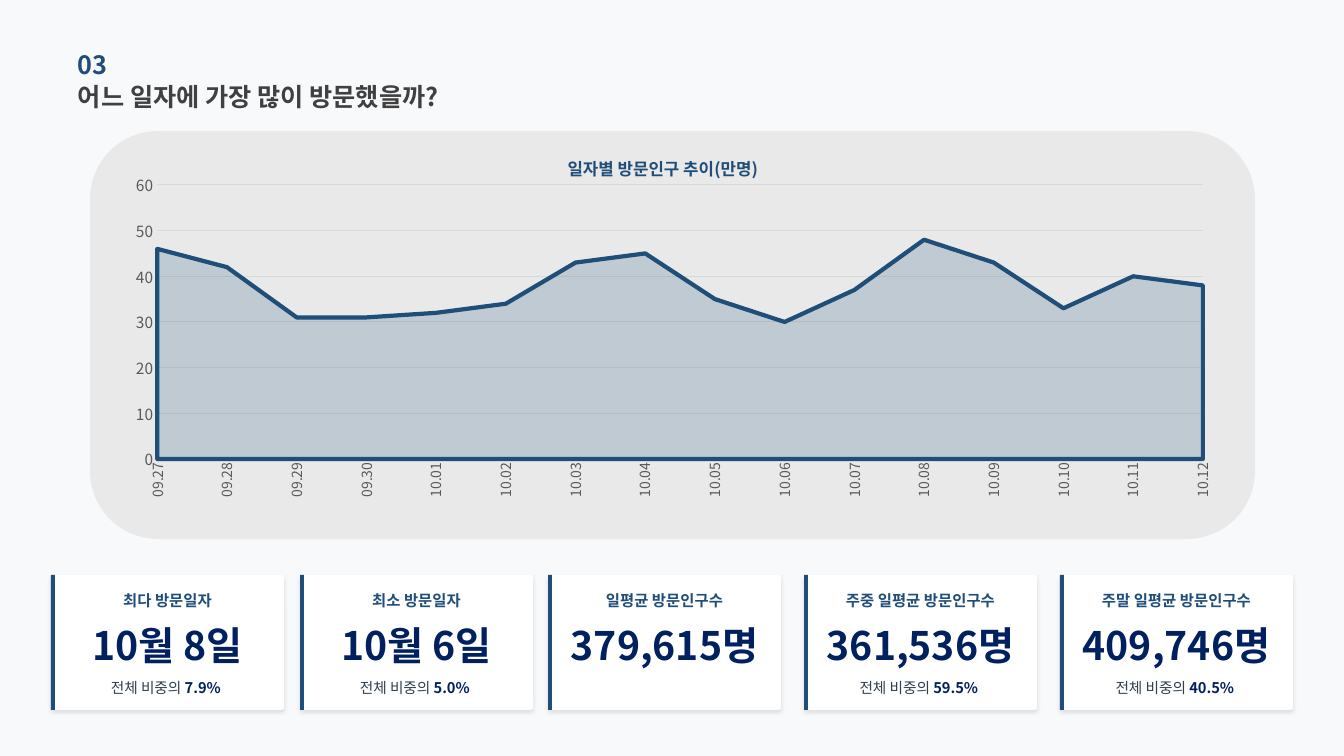
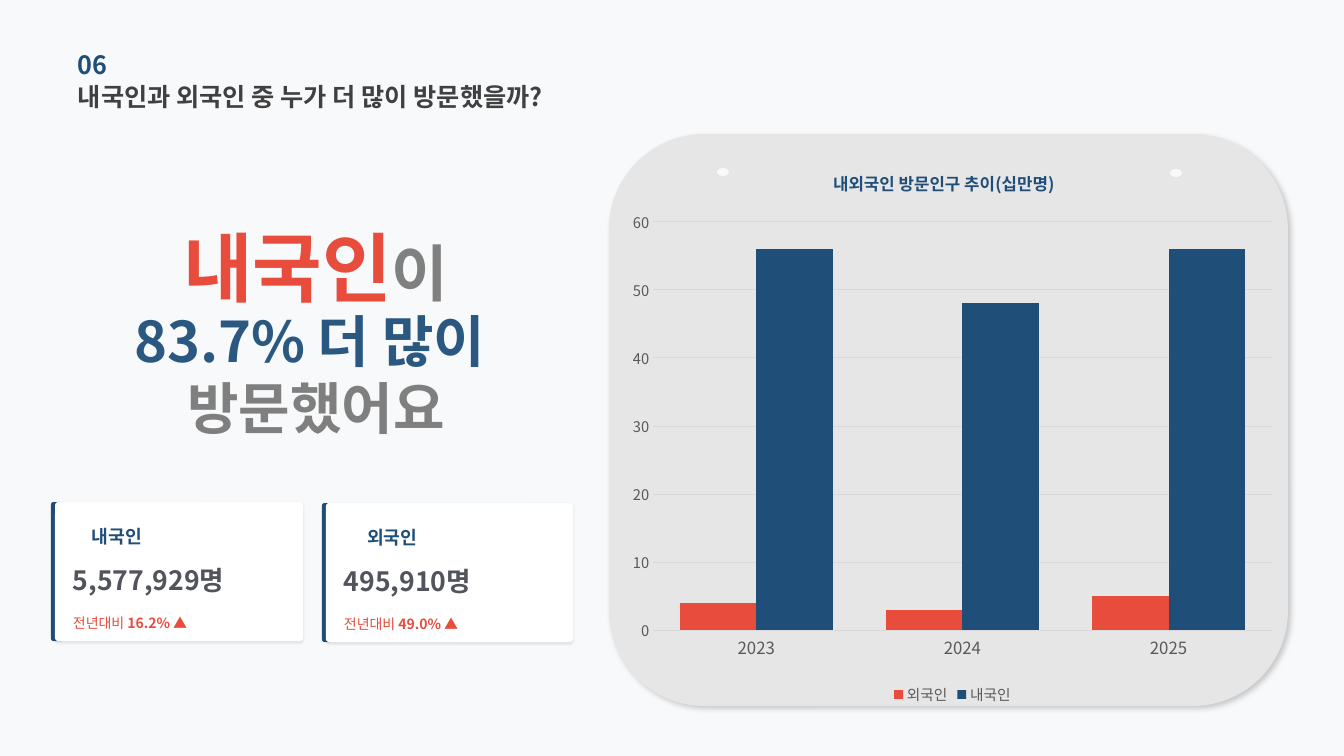
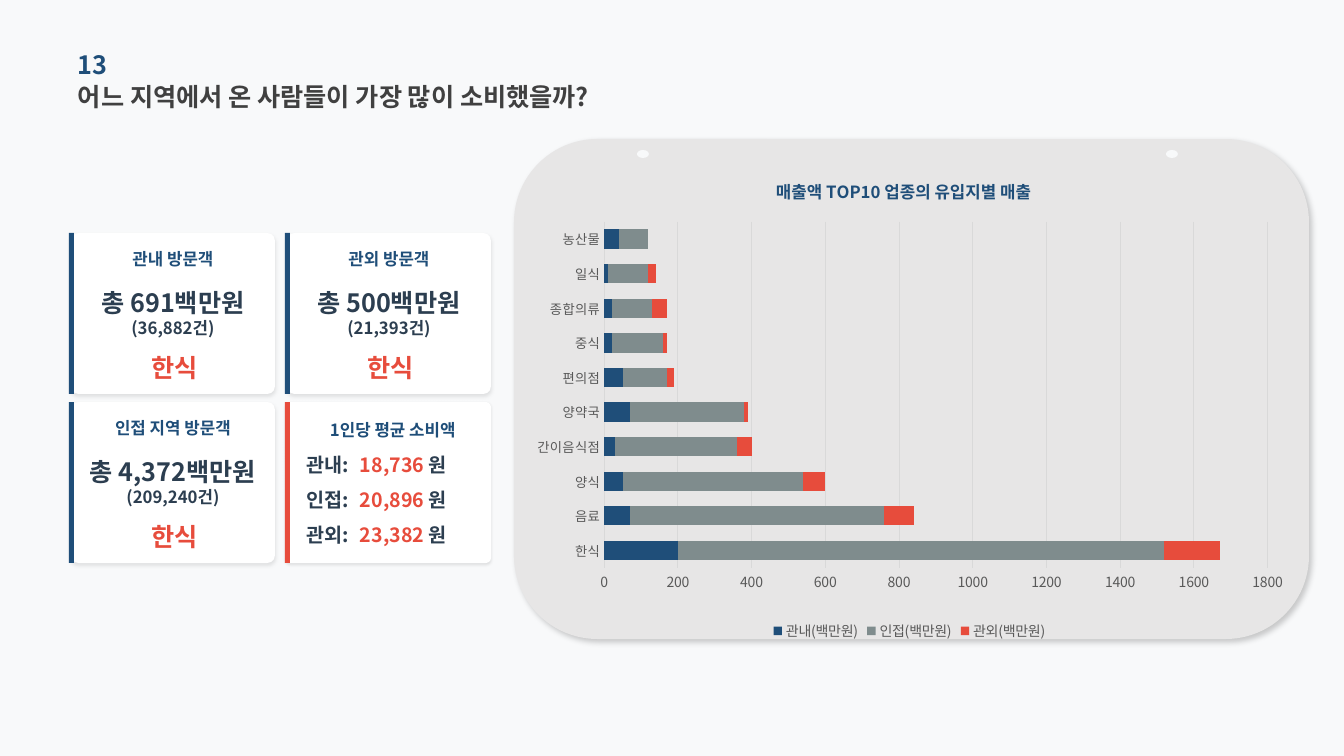
from lxml import etree
from pptx import Presentation
from pptx.chart.data import CategoryChartData
from pptx.dml.color import RGBColor
from pptx.enum.chart import XL_CHART_TYPE, XL_LEGEND_POSITION, XL_TICK_MARK
from pptx.enum.shapes import MSO_SHAPE
from pptx.enum.text import MSO_ANCHOR, MSO_AUTO_SIZE, PP_ALIGN
from pptx.oxml.ns import qn
from pptx.util import Pt

PX = 914400 / 100.8
FONT = "Noto Sans CJK KR"
NAVY, DEEP, RED, INK = "1F4E79", "002060", "E74C3C", "2C3E50"
PAPER, WHITE, PANEL, GRID, AXIS = "F8F9FA", "FFFFFF", "E7E6E6", "D9D9D9", "595959"
LEFT, CENTER = PP_ALIGN.LEFT, PP_ALIGN.CENTER
MIDDLE, NO_FIT = MSO_ANCHOR.MIDDLE, MSO_AUTO_SIZE.NONE
RECT, ROUND, OVAL = MSO_SHAPE.RECTANGLE, MSO_SHAPE.ROUNDED_RECTANGLE, MSO_SHAPE.OVAL
AREA, COLUMN, STACKED = XL_CHART_TYPE.AREA, XL_CHART_TYPE.COLUMN_CLUSTERED, XL_CHART_TYPE.BAR_STACKED
BOTTOM, NO_TICK = XL_LEGEND_POSITION.BOTTOM, XL_TICK_MARK.NONE

# Shadows: opacity %, blur pt, distance pt, direction degrees
PANEL_SHADOW, CARD_SHADOW, SOFT_SHADOW = (20, 4, 3, 45), (10, 3, 2, 90), (10, 2, 1, 90)


# Basics
def px(*lengths):
    return [round(length * PX) for length in lengths]


def rgb(color):
    return RGBColor.from_string(color)


def add_xml(parent, tag, **attributes):
    return etree.SubElement(parent, qn(tag), {k: str(v) for k, v in attributes.items()})


def paint(fill, color, opacity=100):
    fill.solid()
    fill.fore_color.rgb = rgb(color)
    if opacity < 100:
        add_xml(fill._xPr.find(qn("a:solidFill"))[0], "a:alpha", val=opacity * 1000)


def style_font(font, size, color, bold=False):
    font.size, font.bold, font.name = Pt(size), bold, FONT
    font.color.rgb = rgb(color)
    font.name = FONT
    add_xml(font._rPr, "a:ea", typeface=FONT)


def add_shape(slide, kind, box, color, radius=None, opacity=100, shadow=None):
    shape = slide.shapes.add_shape(kind, *px(*box))
    paint(shape.fill, color, opacity)
    shape.line.fill.background()
    shape.shadow.inherit = False
    if radius is not None:
        shape.adjustments[0] = radius
    if shadow:
        strength, blur, distance, angle = shadow
        effects = shape._element.spPr.find(qn("a:effectLst"))
        outer = add_xml(effects, "a:outerShdw", blurRad=Pt(blur), dist=Pt(distance),
                        dir=angle * 60000, algn="ctr", rotWithShape=0)
        add_xml(add_xml(outer, "a:srgbClr", val="000000"), "a:alpha", val=strength * 1000)
    return shape


def write(holder, paragraphs, align=LEFT, **base):
    """Each paragraph is a string or a list of (text, format changes)."""
    frame = holder.text_frame
    frame.word_wrap, frame.auto_size, frame.vertical_anchor = True, NO_FIT, MIDDLE
    frame.margin_left = frame.margin_right = frame.margin_top = frame.margin_bottom = 0
    for i, runs in enumerate(paragraphs):
        paragraph = frame.add_paragraph() if i else frame.paragraphs[0]
        paragraph.alignment = align
        for words, changes in [(runs, {})] if isinstance(runs, str) else runs:
            run = paragraph.add_run()
            run.text = words
            style_font(run.font, **{**base, **changes})


def add_text(slide, box, *paragraphs, **style):
    write(slide.shapes.add_textbox(*px(*box)), paragraphs, **style)


# Parts shared by the slides
def new_slide(prs, number, question):
    slide = prs.slides.add_slide(prs.slide_layouts[5])
    title = slide.shapes.title
    title.left, title.top, title.width, title.height = px(78, 76, 560, 41)
    write(title, [question], size=18, color="404040", bold=True)
    add_text(slide, (78, 44, 456, 41), number, size=18, color=NAVY, bold=True)
    return slide


def pinned_panel(slide, box, pins):
    add_shape(slide, ROUND, box, PANEL, shadow=PANEL_SHADOW)
    x, y = box[:2]
    for dx, dy in pins:
        add_shape(slide, OVAL, (x + dx, y + dy, 12, 8), PAPER)


# Charts
def set_layout(parent, index, inner=False, **fractions):
    for old in parent.findall(qn("c:layout")):
        parent.remove(old)
    layout = etree.Element(qn("c:layout"))
    parent.insert(index, layout)
    manual = add_xml(layout, "c:manualLayout")
    if inner:
        add_xml(manual, "c:layoutTarget", val="inner")
    for side in "xy":
        add_xml(manual, f"c:{side}Mode", val="edge")
    for side, value in fractions.items():
        add_xml(manual, f"c:{side}", val=value)


def no_fill():
    properties = etree.Element(qn("c:spPr"))
    add_xml(properties, "a:noFill")
    add_xml(add_xml(properties, "a:ln"), "a:noFill")
    return properties


def add_chart(slide, kind, box, title, title_left, categories, series, plot,
              top, step, category_size, value_size):
    """series holds (name, values, colour); plot holds fractions of the box."""
    x, y, width, height = box
    data = CategoryChartData()
    data.categories = categories
    for name, values, _ in series:
        data.add_series(name, values)
    chart = slide.shapes.add_chart(kind, *px(*box), data).chart
    style_font(chart.font, 10, "000000")
    chart._chartSpace.find(qn("c:txPr")).addprevious(no_fill())

    # Title and plot area
    chart.has_title = True
    heading = chart.chart_title
    run = heading.text_frame.paragraphs[0].add_run()
    run.text = title
    style_font(run.font, 12, NAVY, True)
    set_layout(heading._element, 1, x=round((title_left - x) / width, 3),
               y=round(16 / height, 3))
    plot_area = chart._chartSpace.chart.plotArea
    set_layout(plot_area, 0, inner=True, **dict(zip("xywh", plot)))
    plot_area.append(no_fill())

    # Axes
    category_axis, value_axis = chart.category_axis, chart.value_axis
    for axis, size in ((category_axis, category_size), (value_axis, value_size)):
        axis.major_tick_mark = axis.minor_tick_mark = NO_TICK
        style_font(axis.tick_labels.font, size, AXIS)
    category_axis.has_major_gridlines = False
    value_axis.minimum_scale, value_axis.maximum_scale, value_axis.major_unit = 0, top, step
    value_axis.has_major_gridlines = True
    for line in (category_axis.format.line, value_axis.major_gridlines.format.line):
        paint(line.fill, GRID)
        line.width = Pt(0.75)
    value_axis.format.line.fill.background()

    # Series and legend
    chart.plots[0].vary_by_categories = False
    for drawn, (_, _, color) in zip(chart.plots[0].series, series):
        paint(drawn.format.fill, color)
    chart.has_legend = len(series) > 1
    if chart.has_legend:
        chart.legend.position = BOTTOM
        chart.legend.include_in_layout = False
        style_font(chart.legend.font, value_size, AXIS)
    return chart


# Slide 1: visitors by day
def day_chart(slide, box):
    x, y, _, _ = box
    add_shape(slide, ROUND, box, "D0CECE", opacity=36)
    days = [f"09.{d}" for d in range(27, 31)] + [f"10.{d:02}" for d in range(1, 13)]
    visitors = [46, 42, 31, 31, 32, 34, 43, 45, 35, 30, 37, 48, 43, 33, 40, 38]
    chart = add_chart(slide, AREA, (x + 19, y + 3, 1122, 411), "일자별 방문인구 추이(만명)", 564,
                      days, [("Series 1", visitors, NAVY)], (0.043, 0.124, 0.932, 0.667),
                      60, 10, 10, 11)
    trend = chart.plots[0].series[0].format
    paint(trend.fill, NAVY, 20)
    paint(trend.line.fill, NAVY)
    trend.line.width = Pt(3)
    label_body = chart.category_axis._element.find(qn("c:txPr")).find(qn("a:bodyPr"))
    label_body.set("rot", "-5400000")
    label_body.set("vert", "horz")


def day_card(slide, box, label, figure, share):
    x, y, width, height = box
    add_shape(slide, ROUND, box, WHITE, 0.018, shadow=CARD_SHADOW)
    add_shape(slide, RECT, (x, y, 4, height), NAVY)
    add_text(slide, (x + 10, y + 14, width - 20, 22), label,
             align=CENTER, size=11, color=NAVY, bold=True)
    add_text(slide, (x, y + 51, width, 38), figure,
             align=CENTER, size=28, color=DEEP, bold=True)
    if share:
        add_text(slide, (x + 50, y + 102, width - 100, 21),
                 [("전체 비중의 ", {}), (share + " ", {"color": DEEP, "bold": True})],
                 align=CENTER, size=10.5, color=INK)


def day_slide(prs):
    slide = new_slide(prs, "03", "어느 일자에 가장 많이 방문했을까?")
    day_chart(slide, (90, 131, 1165, 408))
    for left, *content in (
        (51, "최다 방문일자", "10월 8일", "7.9%"),
        (300, "최소 방문일자", "10월 6일", "5.0%"),
        (548, "일평균 방문인구수", "379,615명", None),
        (804, "주중 일평균 방문인구수", "361,536명", "59.5%"),
        (1060, "주말 일평균 방문인구수", "409,746명", "40.5%"),
    ):
        day_card(slide, (left, 575, 233, 135), *content)


# Slide 2: domestic and foreign visitors
def origin_headline(slide, x, y):
    add_text(slide, (x + 62, y, 432, 48),
             [("내국인", {}), ("이", {"size": 44, "color": "808080"})],
             align=CENTER, size=54, color=RED, bold=True)
    add_text(slide, (x, y + 89, 556, 85), "83.7% 더 많이 ",
             [("방문했어요", {"color": "7F7F7F"})],
             align=CENTER, size=40, color="2B5880", bold=True)


def origin_card(slide, box, indent, label, count, growth):
    x, y, width, height = box
    add_shape(slide, ROUND, (x - 4, y, 15, height), NAVY)
    add_shape(slide, ROUND, box, WHITE, 0.023, shadow=SOFT_SHADOW)
    add_text(slide, (x + indent, y + 20, 66, 28), label, size=13, color=NAVY, bold=True)
    add_text(slide, (x + 18, y + 58, width - 18, 39), count, size=19, color="51545A", bold=True)
    add_text(slide, (x + 18, y + 98, width - 18, 45),
             [("전년대비 ", {}), (growth + " ▲", {"bold": True})], size=10, color=RED)


def origin_slide(prs):
    slide = new_slide(prs, "06", "내국인과 외국인 중 누가 더 많이 방문했을까?")
    pinned_panel(slide, (609, 134, 679, 572), [(108, 34), (561, 35)])
    origin_headline(slide, 38, 242)
    origin_card(slide, (55, 502, 248, 139), 37, "내국인", "5,577,929명", "16.2%")
    origin_card(slide, (326, 503, 247, 139), 41, "외국인", "495,910명", "49.0%")
    chart = add_chart(slide, COLUMN, (620, 149, 665, 560), "내외국인 방문인구 추이(십만명)", 830,
                      ["2023", "2024", "2025"],
                      [("외국인", [4, 3, 5], RED), ("내국인", [56, 48, 56], NAVY)],
                      (0.05, 0.13, 0.93, 0.73), 60, 10, 12, 10.5)
    chart.plots[0].gap_width = 70


# Slide 3: spending by origin
def spending_card(slide, box, label, amount, deals):
    x, y, width, height = box
    add_shape(slide, ROUND, box, WHITE, 0.048, shadow=CARD_SHADOW)
    add_shape(slide, RECT, (x - 2, y, 5, height), NAVY)
    bold = {"align": CENTER, "bold": True}
    add_text(slide, (x, y + 10, width, 31), label, size=12, color=NAVY, **bold)
    add_text(slide, (x, y + 56, width, 47), f"총 {amount}백만원", [(f"({deals}건)", {"size": 12})],
             size=18, color=INK, **bold)
    add_text(slide, (x + 2, y + 111, width, 47), "한식", size=18, color=RED, **bold)


def average_card(slide, box):
    x, y, width, height = box
    add_shape(slide, ROUND, box, WHITE, 0.032, shadow=SOFT_SHADOW)
    add_shape(slide, RECT, (x, y, 5, height), RED)
    add_text(slide, (x + 45, y + 15, 150, 25), "1인당 평균 소비액", size=12, color=NAVY, bold=True)
    averages = (("관내", "18,736"), ("인접", "20,896"), ("관외", "23,382"))
    for row, (origin, average) in enumerate(averages):
        row_top = y + 48 + 35 * row
        add_text(slide, (x + 21, row_top, 59, 30), origin + ":", size=14, color=INK, bold=True)
        add_text(slide, (x + 75, row_top, 130, 30),
                 [(average + " ", {"color": RED}), ("원", {})], size=14, color=INK, bold=True)


def spending_slide(prs):
    slide = new_slide(prs, "13", "어느 지역에서 온 사람들이 가장 많이 소비했을까?")
    pinned_panel(slide, (514, 139, 795, 500), [(123, 11), (652, 11)])
    cards = (("관내 방문객", "691", "36,882"), ("관외 방문객", "500", "21,393"),
             ("인접 지역 방문객", "4,372", "209,240"))
    for i, content in enumerate(cards):
        row, column = divmod(i, 2)
        spending_card(slide, (71 + 216 * column, 233 + 169 * row, 204, 161), *content)
    average_card(slide, (285, 402, 206, 161))
    chart = add_chart(
        slide, STACKED, (526, 157, 767, 488), "매출액 TOP10 업종의 유입지별 매출", 773,
        ["한식", "음료", "양식", "간이음식점", "양약국", "편의점", "중식", "종합의류", "일식", "농산물"],
        [("관내(백만원)", [200, 70, 50, 30, 70, 50, 20, 20, 10, 40], NAVY),
         ("인접(백만원)", [1320, 690, 490, 330, 310, 120, 140, 110, 110, 80], "7F8C8D"),
         ("관외(백만원)", [150, 80, 60, 40, 10, 20, 10, 40, 20, 0], RED)],
        (0.102, 0.133, 0.865, 0.709), 1800, 200, 9.5, 10)
    chart.plots[0].gap_width, chart.plots[0].overlap = 80, 100


def main():
    prs = Presentation()
    prs.slide_width, prs.slide_height = px(1344, 756)
    paint(prs.slide_master.background.fill, PAPER)
    for build in (day_slide, origin_slide, spending_slide):
        build(prs)
    prs.save("out.pptx")


if __name__ == "__main__":
    main()
